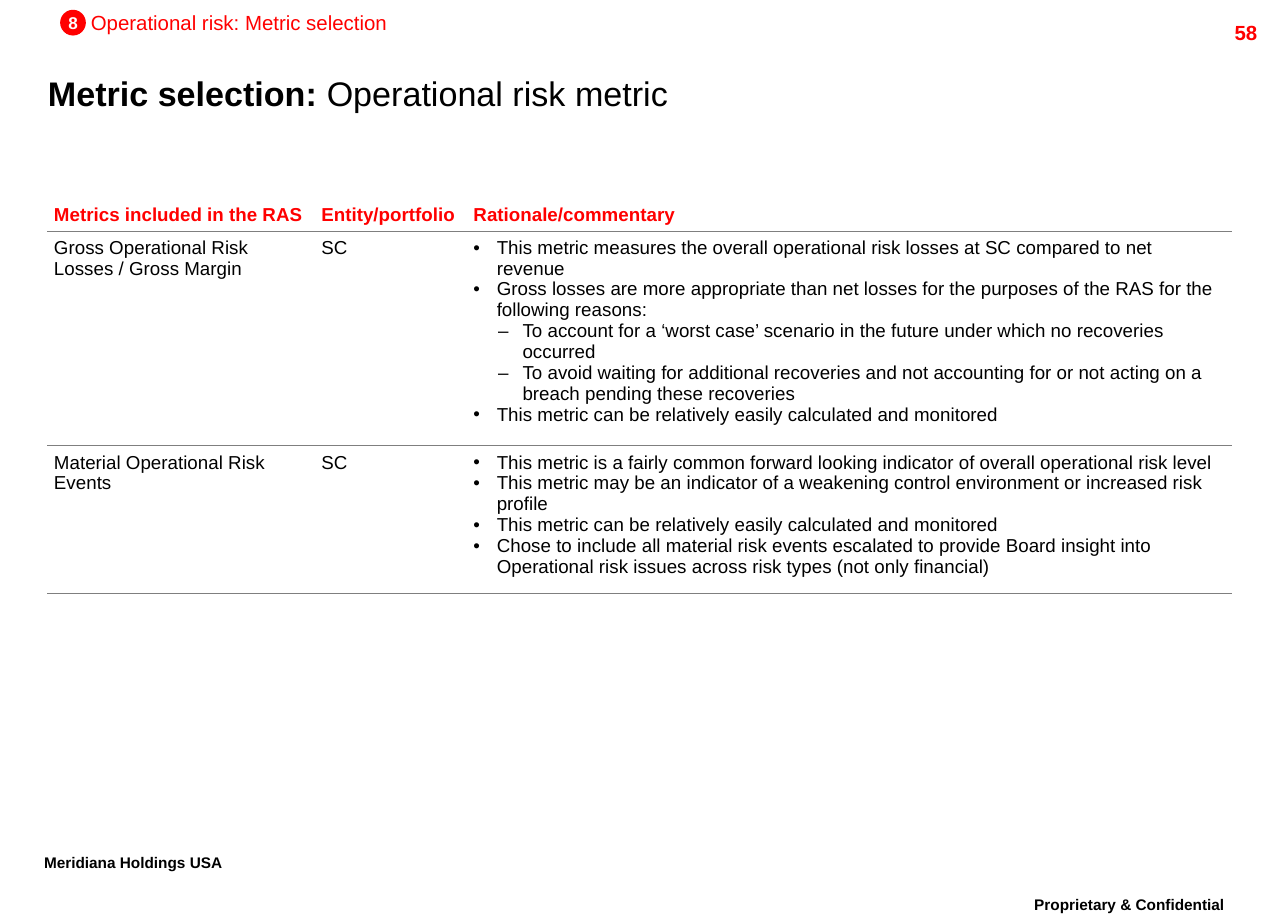
from lxml.etree import SubElement
from pptx import Presentation
from pptx.dml.color import RGBColor
from pptx.enum.shapes import MSO_SHAPE
from pptx.enum.text import MSO_ANCHOR, PP_ALIGN
from pptx.oxml import parse_xml
from pptx.oxml.ns import nsdecls, qn
from pptx.util import Inches, Pt

HUES = {"red": "FF0000", "black": "000000", "white": "FFFFFF", "gray": "7F7F7F"}

HEADS = ["Metrics included in the RAS", "Entity/portfolio", "Rationale/commentary"]
# Each comment is a pair of level and text
METRICS = [
    ("Gross Operational Risk Losses / Gross Margin", "SC", [
        (0, "This metric measures the overall operational risk losses at SC compared to net revenue"),
        (0, "Gross losses are more appropriate than net losses for the purposes of the RAS "
            "for the following reasons:"),
        (1, "To account for a ‘worst case’ scenario in the future under which no recoveries occurred"),
        (1, "To avoid waiting for additional recoveries and not accounting for or not acting "
            "on a breach pending these recoveries"),
        (0, "This metric can be relatively easily calculated and monitored"),
    ]),
    ("Material Operational Risk Events", "SC", [
        (0, "This metric is a fairly common forward looking indicator of overall operational risk level"),
        (0, "This metric may be an indicator of a weakening control environment or increased risk profile"),
        (0, "This metric can be relatively easily calculated and monitored"),
        (0, "Chose to include all material risk events escalated to provide Board insight into "
            "Operational risk issues across risk types (not only financial)"),
    ]),
]
COLS = [2.18, 1.24, 6.23]
ROWS = [0.28, 1.75, 1.2]
MARKS = [("•", 0.19, 0.19), ("–", 0.4, 0.2)]  # bullet, indent, hang


def color(name):
    return RGBColor.from_string(HUES[name])


def style(para, size, hue, bold=False):
    font = para.font
    font.name, font.size, font.bold = "Arial", Pt(size), bold
    font.color.rgb = color(hue)


def setup(frame, wrap=True):
    frame.margin_left = frame.margin_right = 0
    frame.margin_top = frame.margin_bottom = 0
    frame.vertical_anchor = MSO_ANCHOR.MIDDLE
    frame.word_wrap = wrap


def add_text(slide, box, text, size, hue, bold=False, align=PP_ALIGN.LEFT):
    frame = slide.shapes.add_textbox(*map(Inches, box)).text_frame
    setup(frame)
    para = frame.paragraphs[0]
    para.text, para.alignment = text, align
    style(para, size, hue, bold)


def add_title(slide, lead, rest):
    frame = slide.shapes.add_textbox(*map(Inches, (0.39, 0.57, 9.65, 0.38))).text_frame
    setup(frame)
    para = frame.paragraphs[0]
    para.add_run().text = lead
    para.add_run().text = rest
    style(para, 20, "black")
    para.runs[0].font.bold = True


def add_badge(slide, text):
    dot = slide.shapes.add_shape(MSO_SHAPE.OVAL, *map(Inches, (0.49, 0.08, 0.21, 0.21)))
    dot.shadow.inherit = False
    dot.fill.solid()
    dot.fill.fore_color.rgb = color("red")
    dot.line.fill.background()
    setup(dot.text_frame, wrap=False)
    para = dot.text_frame.paragraphs[0]
    para.text, para.alignment = text, PP_ALIGN.CENTER
    style(para, 10, "white", True)


def add_bullet(para, level):
    mark, left, hang = MARKS[level]
    para.level = level
    props = para._p.get_or_add_pPr()
    props.set("marL", str(Inches(left)))
    props.set("indent", str(-Inches(hang)))
    SubElement(props, qn("a:buFont"), typeface="Arial")
    SubElement(props, qn("a:buChar"), char=mark)


def add_rule(cell, side, index):
    rule = parse_xml(
        f'<a:{side} {nsdecls("a")} w="{Pt(0.75)}"><a:solidFill>'
        f'<a:srgbClr val="{HUES["gray"]}"/></a:solidFill></a:{side}>')
    cell._tc.get_or_add_tcPr().insert(index, rule)


def fill_cell(cell, items, head):
    cell.margin_left = cell.margin_right = Inches(0.05)
    cell.margin_top = cell.margin_bottom = Inches(0.05)
    cell.vertical_anchor = MSO_ANCHOR.BOTTOM if head else MSO_ANCHOR.TOP
    cell.fill.background()
    frame = cell.text_frame
    for i, (level, text) in enumerate(items):
        para = frame.add_paragraph() if i else frame.paragraphs[0]
        para.text = text
        if level is not None:
            add_bullet(para, level)
        style(para, 11, "red" if head else "black", head)
    # Rules above and below body rows, below the header
    add_rule(cell, "lnB", 0)
    if not head:
        add_rule(cell, "lnT", 0)


def add_metrics(slide):
    box = (0.39, 1.6, sum(COLS), sum(ROWS))
    grid = slide.shapes.add_table(len(ROWS), len(COLS), *map(Inches, box)).table
    grid.horz_banding = grid.first_row = False
    for col, width in zip(grid.columns, COLS):
        col.width = Inches(width)
    for row, height in zip(grid.rows, ROWS):
        row.height = Inches(height)
    for r, texts in enumerate([HEADS] + METRICS):
        for c, text in enumerate(texts):
            items = text if isinstance(text, list) else [(None, text)]
            fill_cell(grid.cell(r, c), items, r == 0)


def main():
    deck = Presentation()
    deck.slide_width, deck.slide_height = Inches(10.5), Inches(7.5)
    slide = deck.slides.add_slide(deck.slide_layouts[6])

    # Header
    add_badge(slide, "8")
    add_text(slide, (0.74, 0.08, 2.81, 0.21), "Operational risk: Metric selection", 12, "red")
    add_text(slide, (9.25, 0.14, 1, 0.24), "58", 12, "red", True, PP_ALIGN.RIGHT)
    add_title(slide, "Metric selection: ", "Operational risk metric")

    # Body
    add_metrics(slide)

    # Footer
    add_text(slide, (0.36, 6.93, 1.9, 0.2), "Meridiana Holdings USA", 9, "black", True)
    add_text(slide, (8.15, 7.27, 1.83, 0.2), "Proprietary & Confidential", 9, "black", True,
             PP_ALIGN.RIGHT)

    deck.save("out.pptx")


if __name__ == "__main__":
    main()
